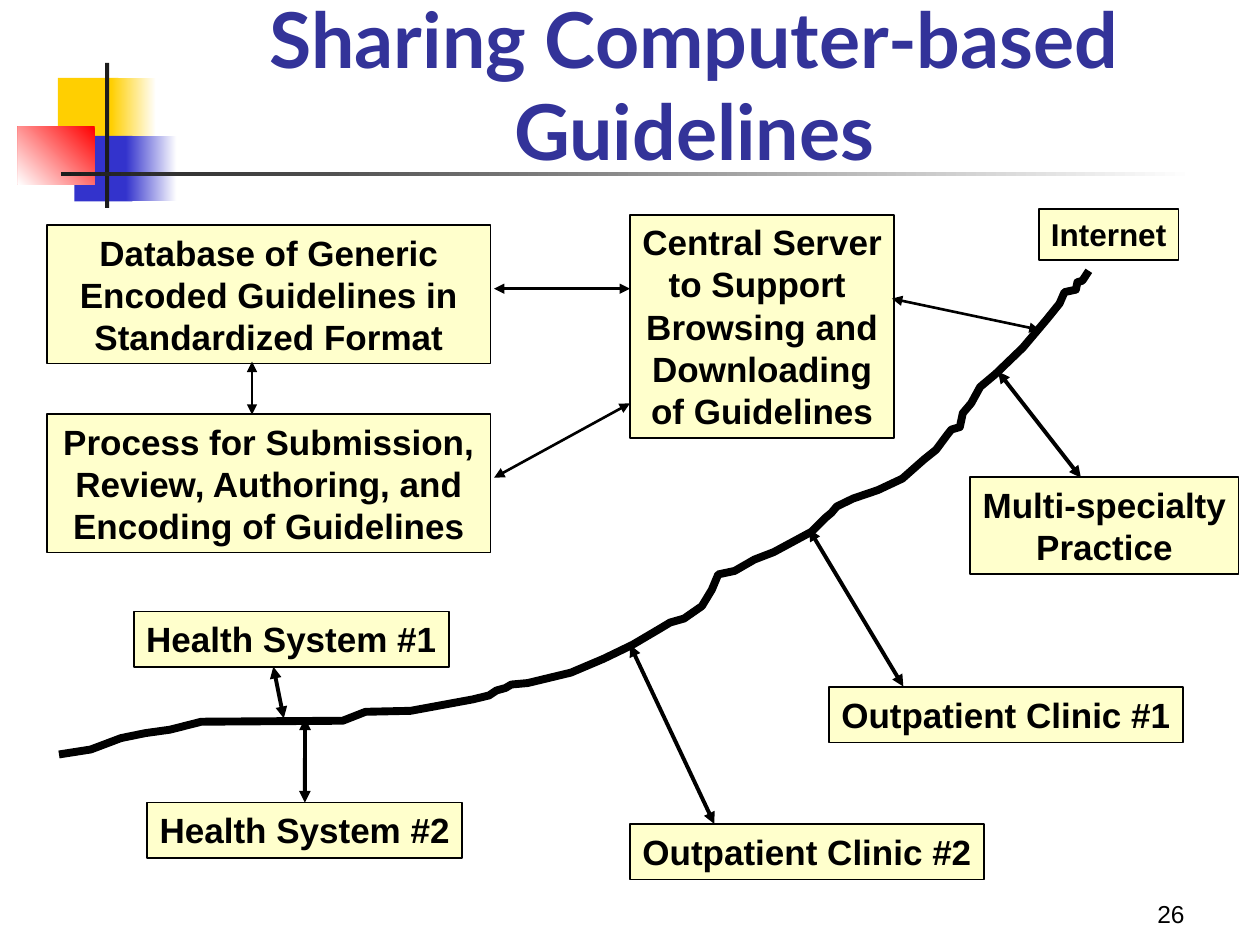
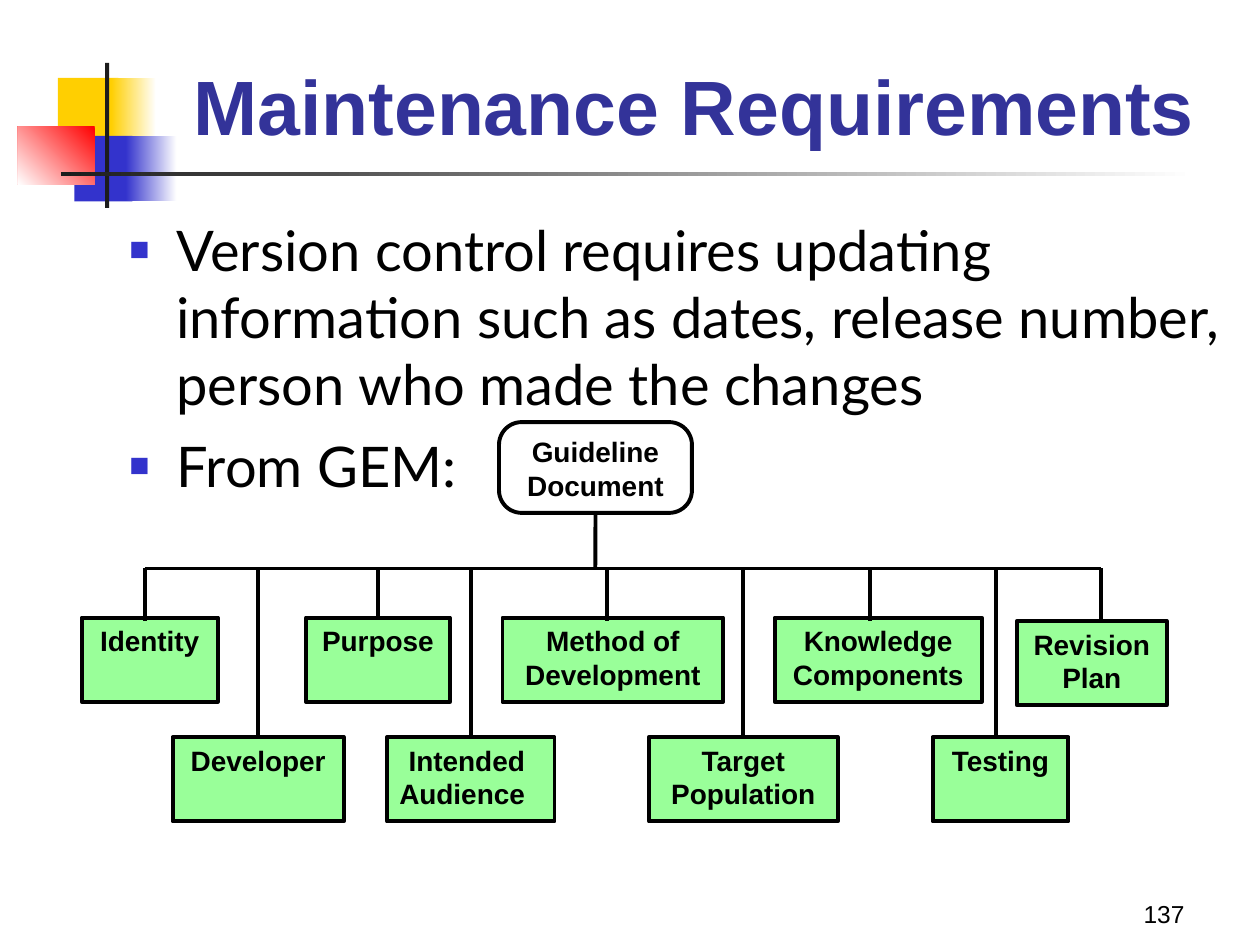
from lxml import etree
from pptx import Presentation
from pptx.dml.color import RGBColor
from pptx.enum.shapes import MSO_CONNECTOR, MSO_SHAPE
from pptx.enum.text import MSO_ANCHOR, PP_ALIGN
from pptx.oxml.ns import qn
from pptx.util import Cm, Pt

RECTANGLE = MSO_SHAPE.RECTANGLE
ROUNDED = MSO_SHAPE.ROUNDED_RECTANGLE
STRAIGHT = MSO_CONNECTOR.STRAIGHT
TOP, BOTTOM = MSO_ANCHOR.TOP, MSO_ANCHOR.BOTTOM
LEFT, CENTER, RIGHT = PP_ALIGN.LEFT, PP_ALIGN.CENTER, PP_ALIGN.RIGHT
TOP_SIDE, BOTTOM_SIDE = 0, 2

COLORS = {
    "title": "333399",
    "text": "000000",
    "white": "FFFFFF",
    "yellow": "FFCF01",
    "blue": "3333CC",
    "red": "FF0000",
    "bar": "1C1C1C",
    "cream": "FFFFCC",
    "green": "99FF99",
}


def add_box(slide, area, text, size, kind=None, fill="white", line_width=1.0,
            font="Arial", bold=True, color="text", align=CENTER, anchor=TOP):
    """Add a text box, or a filled and outlined shape if a kind is given."""
    left, top, width, height = [Cm(length) for length in area]
    if kind is None:
        shape = slide.shapes.add_textbox(left, top, width, height)
    else:
        shape = slide.shapes.add_shape(kind, left, top, width, height)
        shape.shadow.inherit = False
        shape.fill.solid()
        shape.fill.fore_color.rgb = RGBColor.from_string(COLORS[fill])
        shape.line.color.rgb = RGBColor.from_string(COLORS["text"])
        shape.line.width = Pt(line_width)
    text_frame = shape.text_frame
    text_frame.text = text
    text_frame.word_wrap = True
    text_frame.vertical_anchor = anchor
    for paragraph in text_frame.paragraphs:
        paragraph.alignment = align
        for run in paragraph.runs:
            run.font.name = font
            run.font.size = Pt(size)
            run.font.bold = bold
            run.font.color.rgb = RGBColor.from_string(COLORS[color])
    return shape


def add_line(slide, start, end, width, arrows=False):
    """Add a straight black line, with arrowheads at both ends if asked."""
    ends = [Cm(length) for length in (*start, *end)]
    connector = slide.shapes.add_connector(STRAIGHT, *ends)
    connector.line.color.rgb = RGBColor.from_string(COLORS["text"])
    connector.line.width = Pt(width)
    properties = connector._element.spPr
    if arrows:
        outline = properties.find(qn("a:ln"))
        for tag in ("a:headEnd", "a:tailEnd"):
            etree.SubElement(outline, qn(tag), type="triangle")
    etree.SubElement(properties, qn("a:effectLst"))
    return connector


presentation = Presentation()
presentation.slide_width = Cm(25.4)
presentation.slide_height = Cm(19.05)

# Shared decoration: area, colours (two make a gradient), gradient angle
decoration = [
    ((1.17, 1.57, 1.22, 1.32), ["yellow"], 0),
    ((2.24, 1.57, 0.91, 1.32), ["yellow", "white"], 0),
    ((1.5, 2.74, 1.17, 1.32), ["blue"], 0),
    ((2.54, 2.74, 1.02, 1.32), ["blue", "white"], 0),
    ((0.36, 2.55, 1.55, 1.17), ["red", "white"], 225),
    ((2.12, 1.27, 0.08, 2.92), ["bar"], 0),
    ((1.23, 3.47, 22.86, 0.08), ["bar", "white"], 0),
]

# Title, title top, title font, page number
pages = [
    ("Sharing Computer-based Guidelines", 0.5, "Lato", "26"),
    ("Maintenance Requirements", 0, "Arial", "137"),
]

slides = []
for title, title_top, title_font, page_number in pages:
    slide = presentation.slides.add_slide(presentation.slide_layouts[6])
    slides.append(slide)
    for area, names, angle in decoration:
        shape = slide.shapes.add_shape(RECTANGLE, *[Cm(length) for length in area])
        shape.shadow.inherit = False
        shape.line.fill.background()
        if len(names) == 1:
            shape.fill.solid()
            shape.fill.fore_color.rgb = RGBColor.from_string(COLORS[names[0]])
        else:
            shape.fill.gradient()
            shape.fill.gradient_angle = angle
            for stop, name in zip(shape.fill.gradient_stops, names):
                stop.color.rgb = RGBColor.from_string(COLORS[name])
    add_box(slide, (3.18, title_top, 21.64, 3.17), title, 44,
            font=title_font, color="title", anchor=BOTTOM)
    add_box(slide, (18.85, 17.58, 5.28, 1.27), page_number, 14,
            bold=False, align=RIGHT, anchor=BOTTOM)

sharing_slide, maintenance_slide = slides

# Sharing: the Internet as a winding road
road = [
    (1.19, 15.21), (1.83, 15.11), (2.44, 14.88), (2.93, 14.78), (3.43, 14.71),
    (4.06, 14.55), (6.91, 14.53), (7.37, 14.35), (8.28, 14.33), (9.53, 14.1),
    (9.86, 14.02), (10.01, 13.92), (10.19, 13.87), (10.31, 13.8), (10.64, 13.77),
    (11.51, 13.56), (12.17, 13.28), (12.75, 13), (13.31, 12.67), (13.51, 12.55),
    (13.79, 12.47), (14.15, 12.22), (14.35, 11.89), (14.48, 11.58), (14.81, 11.51),
    (15.21, 11.28), (15.6, 11.13), (16.36, 10.72), (16.64, 10.44), (16.76, 10.34),
    (16.87, 10.21), (17.2, 10.05), (17.7, 9.88), (18.19, 9.65), (18.62, 9.27),
    (18.87, 9.07), (19.1, 8.76), (19.18, 8.66), (19.35, 8.61), (19.41, 8.33),
    (19.58, 8.13), (19.76, 7.8), (20.07, 7.54), (20.62, 7.01), (21.11, 6.43),
    (21.36, 6.12), (21.46, 5.89), (21.69, 5.84), (21.72, 5.69), (21.82, 5.66),
    (21.95, 5.46),
]
road_points = [(Cm(x), Cm(y)) for x, y in road]
builder = sharing_slide.shapes.build_freeform(*road_points[0])
builder.add_line_segments(road_points[1:], close=False)
internet_road = builder.convert_to_shape()
internet_road.shadow.inherit = False
internet_road.fill.background()
internet_road.line.color.rgb = RGBColor.from_string(COLORS["text"])
internet_road.line.width = Pt(4.5)

# Sharing: labelled boxes; only the two wide ones wrap their text
sites = [
    ("Database of Generic Encoded Guidelines in\nStandardized Format",
     (0.95, 4.54, 8.94, 2.79), 20),
    ("Process for Submission,\nReview, Authoring, and\nEncoding of Guidelines",
     (0.95, 8.35, 8.94, 2.79), 20),
    ("Central Server\nto Support \nBrowsing and\nDownloading\nof Guidelines",
     (12.7, 4.33, 5.33, 4.5), 20),
    ("Health System #1", (2.7, 12.33, 6.35, 1.12), 20),
    ("Health System #2", (2.97, 16.18, 6.35, 1.12), 20),
    ("Outpatient Clinic #1", (16.71, 13.85, 7.14, 1.12), 20),
    ("Outpatient Clinic #2", (12.7, 16.61, 7.14, 1.12), 20),
    ("Multi-specialty\nPractice", (19.56, 9.62, 5.41, 1.96), 20),
    ("Internet", (20.94, 4.22, 2.82, 1.02), 18),
]
site_boxes = {}
for text, area, size in sites:
    box = add_box(sharing_slide, area, text, size, RECTANGLE, "cream")
    box.text_frame.word_wrap = area[2] > 8
    site_boxes[text] = box

# Sharing: two-way arrows
arrows = [
    ((5.51, 13.44), (5.72, 14.48), 2.25),
    ((14.4, 16.61), (12.7, 13), 2.25),
    ((18.21, 13.84), (16.31, 10.67), 2.25),
    ((21.79, 9.63), (20.12, 7.49), 2.25),
    ((9.96, 5.82), (12.7, 5.82), 1.5),
    ((9.96, 9.63), (12.7, 8.13), 1.5),
    ((5.08, 8.36), (5.08, 7.29), 1.5),
    ((17.98, 6.02), (20.96, 6.65), 1.5),
]
for start, end, width in arrows:
    add_line(sharing_slide, start, end, width, arrows=True)
health_arrow = add_line(sharing_slide, (6.15, 16.18), (6.15, 14.48), 2.25, arrows=True)
health_arrow.begin_connect(site_boxes["Health System #2"], TOP_SIDE)

# Maintenance: bulleted text
body = add_box(
    maintenance_slide, (2.36, 4.22, 22.5, 12.83),
    "Version control requires updating information such as dates, "
    "release number, person who made the changes\nFrom GEM:",
    32, font="Lato", bold=False, align=LEFT)
for paragraph in body.text_frame.paragraphs:
    properties = paragraph._p.get_or_add_pPr()
    properties.set("marL", str(Cm(0.95)))
    properties.set("indent", str(-Cm(0.95)))
    bullet_color = etree.SubElement(properties, qn("a:buClr"))
    etree.SubElement(bullet_color, qn("a:srgbClr"), val=COLORS["blue"])
    etree.SubElement(properties, qn("a:buSzPct"), val="60000")
    etree.SubElement(properties, qn("a:buFont"), typeface="Arial")
    etree.SubElement(properties, qn("a:buChar"), char="■")
body.text_frame.paragraphs[1].space_before = Pt(8)

# Maintenance: root of the tree, trunk and crossbar
BRANCH_LINE = 2.25
CROSSBAR_TOP = 11.46
root = add_box(maintenance_slide, (10.06, 8.51, 3.89, 1.83), "Guideline\nDocument",
               16, ROUNDED, "white", BRANCH_LINE)
root.adjustments[0] = 0.25
trunk = add_line(maintenance_slide, (12, 10.34), (12, CROSSBAR_TOP), BRANCH_LINE)
trunk.begin_connect(root, BOTTOM_SIDE)
add_line(maintenance_slide, (2.92, CROSSBAR_TOP), (22.2, CROSSBAR_TOP), BRANCH_LINE)

# Maintenance: elements as text, left, top, width, stem position
UPPER, LOWER = 12.45, 14.86
elements = [
    ("Identity", 1.65, UPPER, 2.74, 2.92),
    ("Developer", 3.48, LOWER, 3.45, 5.26),
    ("Purpose", 6.17, UPPER, 2.9, 7.59),
    ("Intended \nAudience", 7.8, LOWER, 3.38, 9.5),
    ("Method of\nDevelopment", 10.13, UPPER, 4.45, 12.24),
    ("Target\nPopulation", 13.08, LOWER, 3.81, 14.99),
    ("Knowledge\nComponents", 15.62, UPPER, 4.17, 17.53),
    ("Testing", 18.8, LOWER, 2.74, 20.07),
    ("Revision\nPlan", 20.5, 12.52, 3.02, 22.2),
]
for text, left, top, width, stem_left in elements:
    box = add_box(maintenance_slide, (left, top, width, 1.7), text, 16,
                  RECTANGLE, "green", BRANCH_LINE)
    if text.endswith("Audience"):
        box.text_frame.paragraphs[1].alignment = LEFT
    middle = left + width / 2
    centered = abs(stem_left - middle) < 0.08
    if centered:
        stem_left = middle
    stem = add_line(maintenance_slide, (stem_left, CROSSBAR_TOP),
                    (stem_left, max(top, 12.52)), BRANCH_LINE)
    if centered:
        stem.end_connect(box, TOP_SIDE)

presentation.save("out.pptx")
